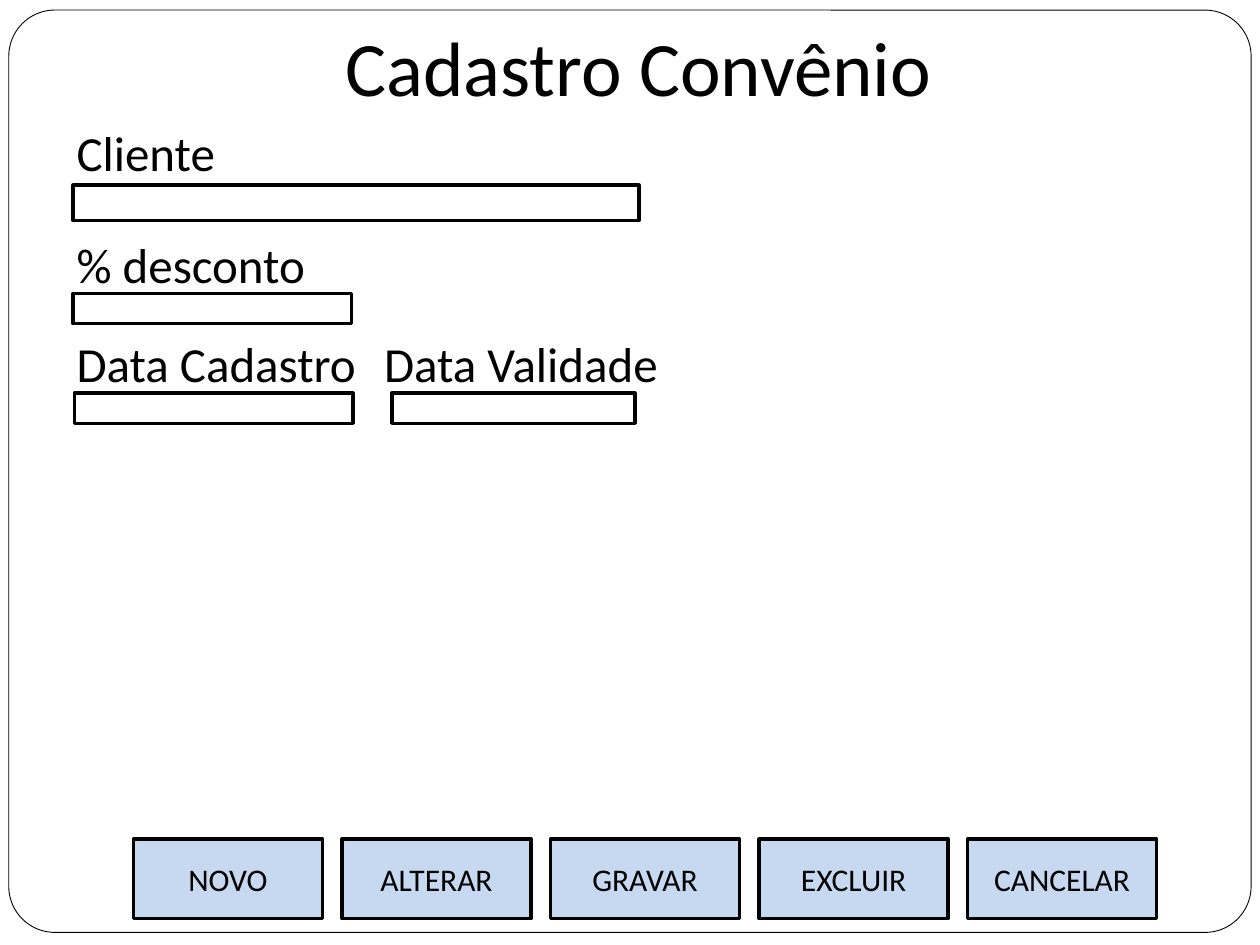
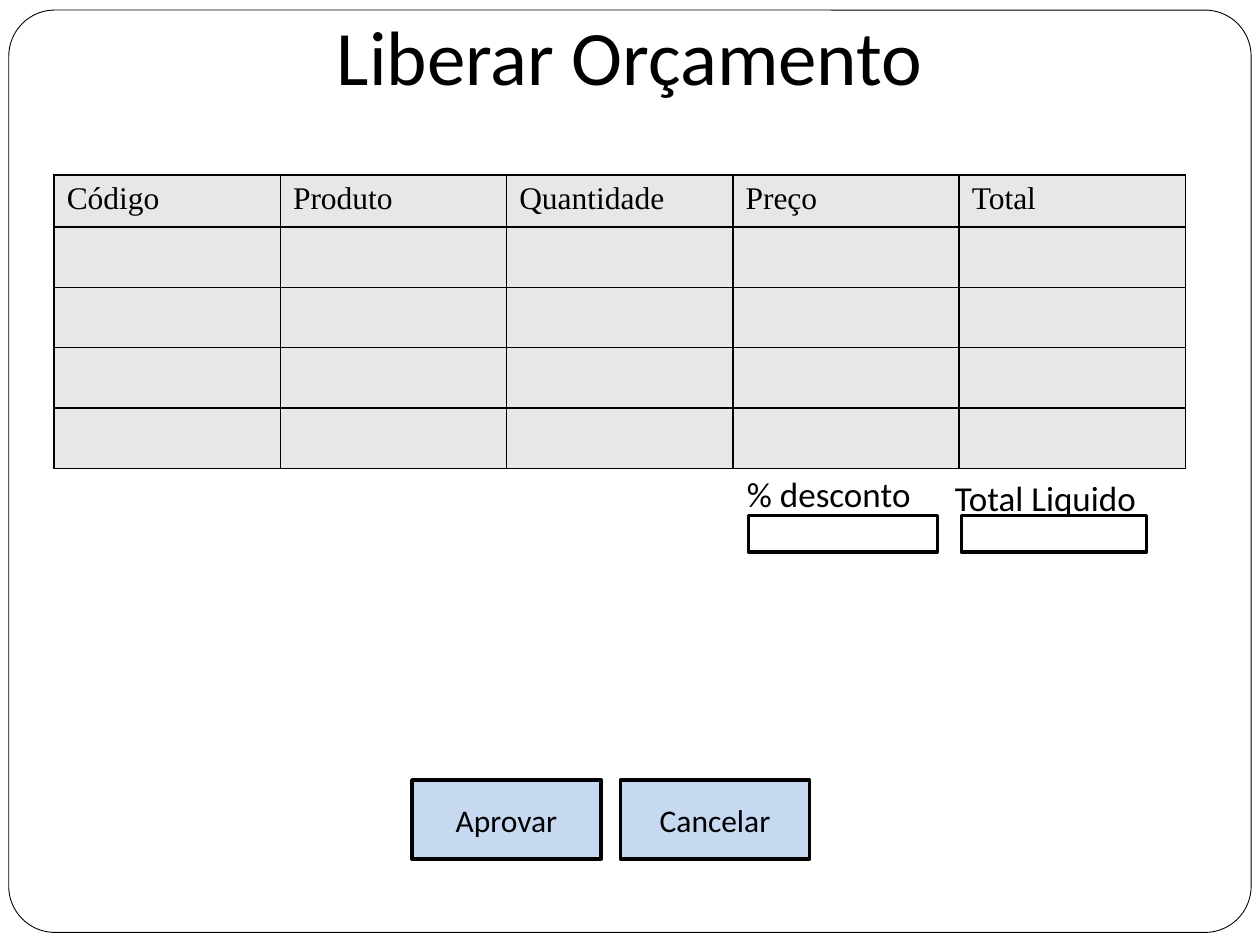
"""Build two form screens: agreement registration and quote approval."""
from lxml import etree
from pptx import Presentation
from pptx.dml.color import RGBColor
from pptx.enum.shapes import MSO_SHAPE as Shape
from pptx.enum.text import MSO_ANCHOR as Anchor, PP_ALIGN as Align
from pptx.oxml.ns import qn
from pptx.util import Inches, Pt

BLACK = RGBColor(0x00, 0x00, 0x00)
WHITE = RGBColor(0xFF, 0xFF, 0xFF)
BUTTON_BLUE = RGBColor(0xC6, 0xD9, 0xF1)
GRID_GREY = RGBColor(0xE7, 0xE7, 0xE7)
BODY_FONT = "Calibri"
GRID_FONT = "Times New Roman"
BUTTON_WIDTH, BUTTON_HEIGHT = 1.5, 0.63
BUTTON_PITCH = (7.68 - 1.06) / 4


def style_paragraph(paragraph, size, font=BODY_FONT, align=Align.LEFT):
    paragraph.alignment = align
    paragraph.font.size = Pt(size)
    paragraph.font.name = font
    paragraph.font.color.rgb = BLACK


def add_box(slide, left, top, width, height, fill=WHITE, line=2, kind=Shape.RECTANGLE):
    box = slide.shapes.add_shape(kind, Inches(left), Inches(top), Inches(width), Inches(height))
    box.shadow.inherit = False
    box.fill.solid()
    box.fill.fore_color.rgb = fill
    box.line.color.rgb = BLACK
    box.line.width = Pt(line)
    return box


def add_text(slide, text, left, top, width, height, size, align=Align.LEFT, anchor=Anchor.TOP):
    caption = slide.shapes.add_textbox(Inches(left), Inches(top), Inches(width), Inches(height))
    frame = caption.text_frame
    frame.word_wrap = True
    frame.vertical_anchor = anchor
    frame.text = text
    style_paragraph(frame.paragraphs[0], size, align=align)


def add_screen(deck, title, title_top, title_height):
    slide = deck.slides.add_slide(deck.slide_layouts[6])
    border = add_box(slide, 0.07, 0.08, 9.86, 7.32, line=0.5, kind=Shape.ROUNDED_RECTANGLE)
    border.adjustments[0] = 0.05
    add_text(slide, title, 0.5, title_top, 9, title_height, 44, Align.CENTER, Anchor.MIDDLE)
    return slide


def add_field(slide, label, label_at, label_width, box_at, size):
    add_box(slide, *box_at)
    add_text(slide, label, *label_at, label_width, 0.44, size)


def add_buttons(slide, labels, left, top):
    for index, label in enumerate(labels):
        button = add_box(slide, left + index * BUTTON_PITCH, top,
                         BUTTON_WIDTH, BUTTON_HEIGHT, BUTTON_BLUE)
        frame = button.text_frame
        frame.vertical_anchor = Anchor.MIDDLE
        frame.text = label
        style_paragraph(frame.paragraphs[0], 18, align=Align.CENTER)


def border_cell(cell):
    properties = cell._tc.get_or_add_tcPr()
    for position, side in enumerate(("a:lnL", "a:lnR", "a:lnT", "a:lnB")):
        edge = etree.Element(qn(side), w=str(Pt(1)))
        fill = etree.SubElement(edge, qn("a:solidFill"))
        etree.SubElement(fill, qn("a:srgbClr"), val=str(BLACK))
        properties.insert(position, edge)


def add_grid(slide, headings, blank_rows, left, top, width):
    heights = [0.41] + [0.48] * blank_rows
    grid = slide.shapes.add_table(len(heights), len(headings), Inches(left), Inches(top),
                                  Inches(width), Inches(sum(heights))).table
    for row, height in zip(grid.rows, heights):
        row.height = Inches(height)
    for cell in grid.iter_cells():
        cell.fill.solid()
        cell.fill.fore_color.rgb = GRID_GREY
        border_cell(cell)
    for column, heading in enumerate(headings):
        frame = grid.cell(0, column).text_frame
        frame.text = heading
        style_paragraph(frame.paragraphs[0], 18, GRID_FONT)
    grid.first_row = False
    grid.horz_banding = False


def build_agreement(deck):
    slide = add_screen(deck, " Cadastro Convênio", 0.13, 0.79)
    fields = [
        ("Cliente", (0.51, 0.92), 4.79, (0.58, 1.47, 4.49, 0.28)),
        ("% desconto", (0.51, 1.81), 2.28, (0.58, 2.33, 2.21, 0.24)),
        ("Data Cadastro", (0.51, 2.6), 2.44, (0.59, 3.12, 2.21, 0.24)),
        ("Data Validade", (2.95, 2.6), 3.15, (3.11, 3.12, 1.93, 0.24)),
    ]
    for field in fields:
        add_field(slide, *field, size=28)
    add_buttons(slide, ["NOVO", "ALTERAR", "GRAVAR", "EXCLUIR", "CANCELAR"], 1.06, 6.66)


def build_quote(deck):
    slide = add_screen(deck, "Liberar Orçamento", -0.03, 0.93)
    add_buttons(slide, ["Aprovar", "Cancelar"], 3.27, 6.19)
    add_grid(slide, ["Código", "Produto", "Quantidade", "Preço", "Total"], 4, 0.43, 1.39, 8.98)
    add_field(slide, "% desconto", (5.83, 3.7), 2.28, (5.94, 4.09, 1.5, 0.29), 20)
    add_field(slide, "Total Liquido", (7.48, 3.73), 2.28, (7.63, 4.09, 1.47, 0.29), 20)


def main():
    deck = Presentation()
    deck.slide_width, deck.slide_height = Inches(10), Inches(7.5)
    build_agreement(deck)
    build_quote(deck)
    deck.save("out.pptx")


if __name__ == "__main__":
    main()
